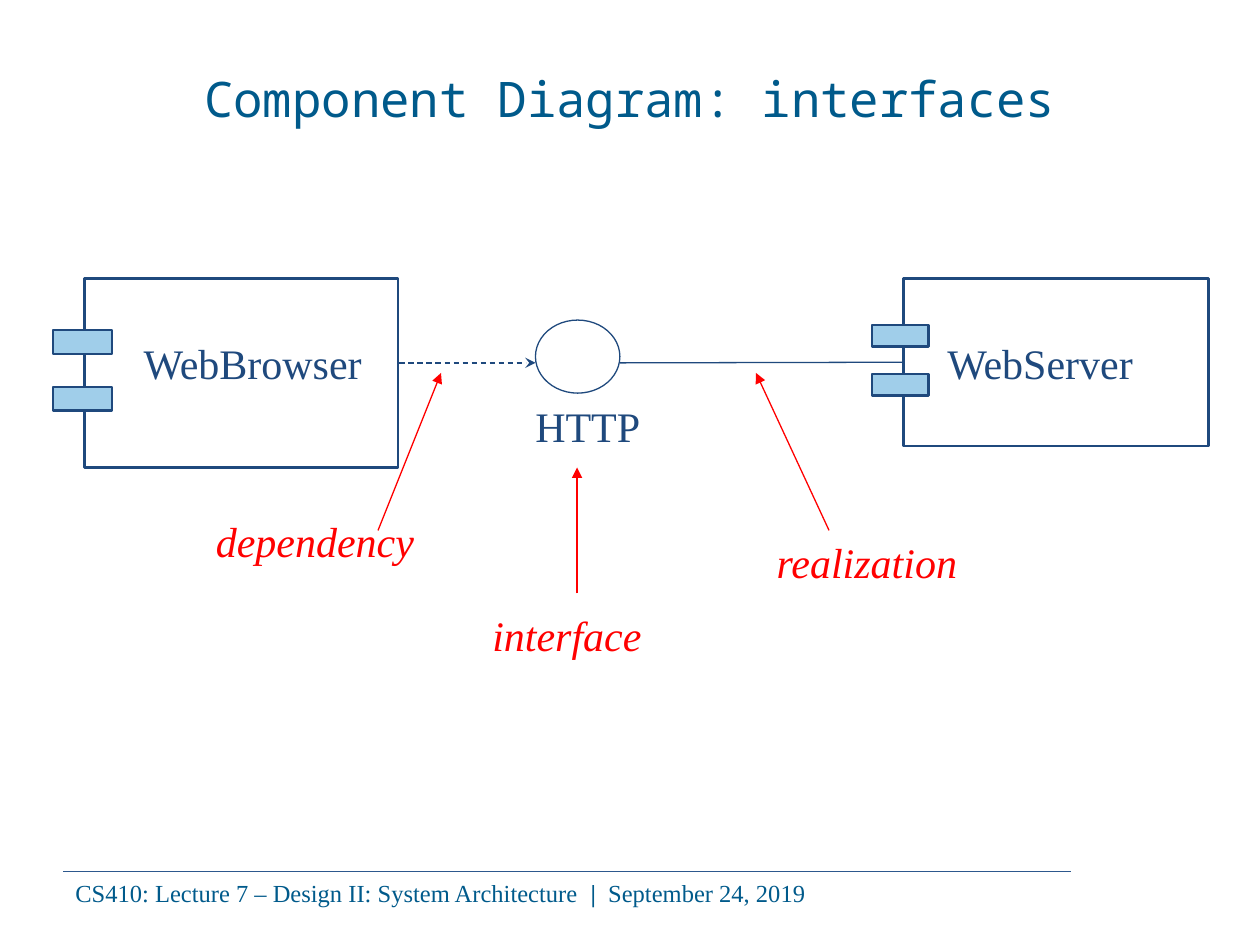
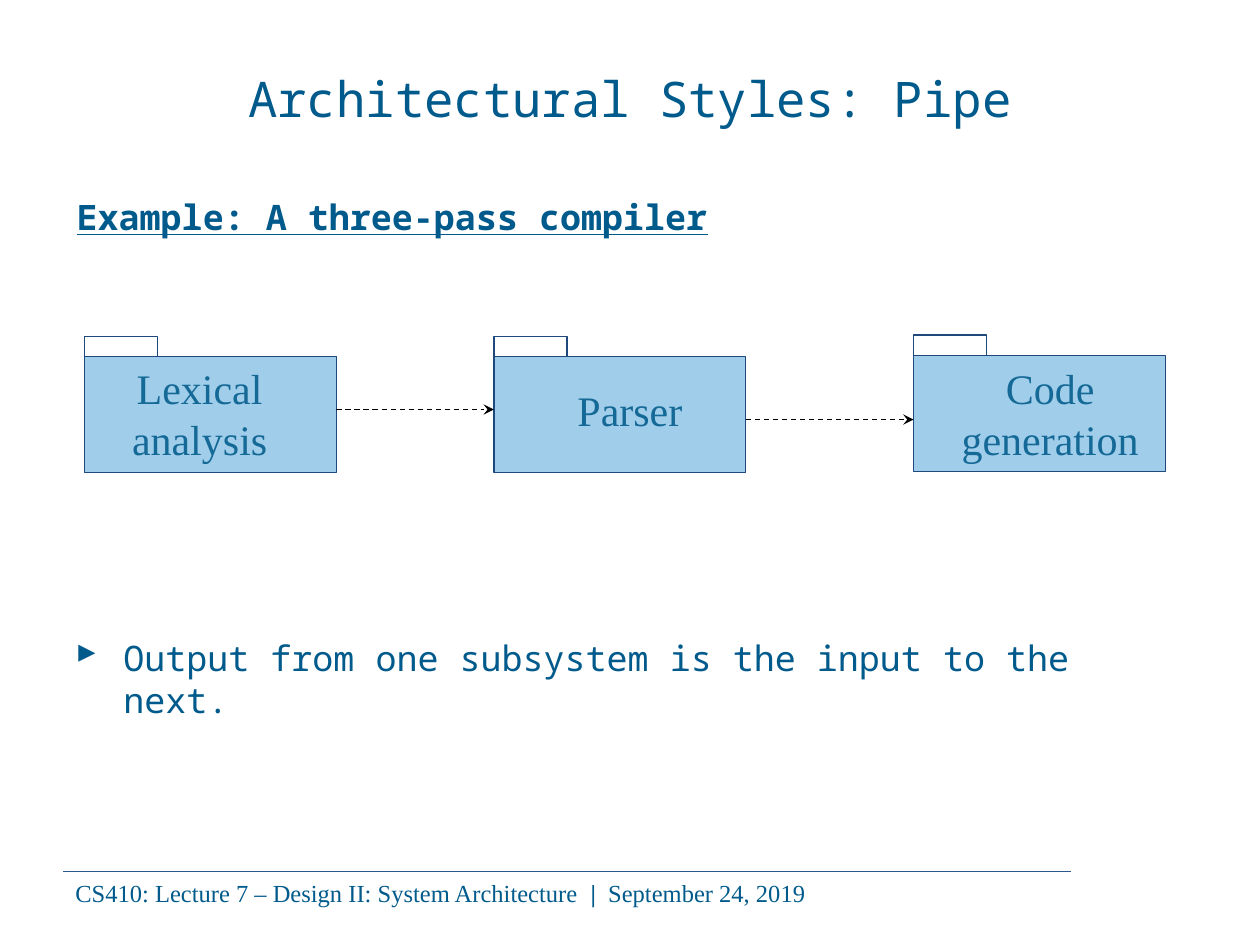
"""Build two lecture slides on component diagrams and the pipe architectural style."""
from dataclasses import dataclass

from lxml import etree
from pptx import Presentation
from pptx.dml.color import RGBColor
from pptx.enum.dml import MSO_LINE
from pptx.enum.shapes import MSO_CONNECTOR, MSO_SHAPE
from pptx.enum.text import MSO_ANCHOR, MSO_AUTO_SIZE, PP_ALIGN
from pptx.oxml.ns import qn
from pptx.shapes.autoshape import Shape
from pptx.shapes.connector import Connector
from pptx.slide import Slide
from pptx.text.text import TextFrame, _Paragraph
from pptx.util import Inches, Pt

RECTANGLE, ELLIPSE = MSO_SHAPE.RECTANGLE, MSO_SHAPE.OVAL
STRAIGHT = MSO_CONNECTOR.STRAIGHT
DASH = MSO_LINE.DASH
LEFT, CENTER = PP_ALIGN.LEFT, PP_ALIGN.CENTER
MIDDLE = MSO_ANCHOR.MIDDLE
FIXED, GROW = MSO_AUTO_SIZE.NONE, MSO_AUTO_SIZE.SHAPE_TO_FIT_TEXT
LEFT_SIDE = 1
TITLE_ONLY = 5


@dataclass(frozen=True)
class Theme:
    heading: str = "005A8B"
    outline: str = "1F497D"
    accent: str = "A0CEEA"
    package_text: str = "156997"
    note: str = "FF0000"
    flow: str = "000000"
    rule: str = "2D588D"
    mono: str = "Noto Sans Mono"
    serif: str = "Times New Roman"
    title_size: int = 28
    label_size: int = 24
    body_size: int = 20
    footer_size: int = 14
    thin: float = 0.75
    thick: float = 1.5


THEME = Theme()
TITLE_FONT = {"name": THEME.mono, "size": Pt(THEME.title_size)}
BODY_FONT = {"name": THEME.mono, "size": Pt(THEME.body_size)}
EXAMPLE_FONT = BODY_FONT | {"bold": True, "underline": True}
LABEL_FONT = {"name": THEME.serif, "size": Pt(THEME.label_size)}
NOTE_FONT = LABEL_FONT | {"italic": True}
FOOTER_FONT = {"name": THEME.serif, "size": Pt(THEME.footer_size)}


@dataclass(frozen=True)
class Box:
    left: float
    top: float
    width: float
    height: float

    def lengths(self) -> list[Inches]:
        return [Inches(v) for v in (self.left, self.top, self.width, self.height)]


@dataclass(frozen=True)
class Component:
    name: str
    body: Box
    label: Box
    lug: Box
    lug_step: float


@dataclass(frozen=True)
class Package:
    name: str
    left: float
    top: float
    label: Box


@dataclass(frozen=True)
class Note:
    word: str
    label: Box
    start: tuple[float, float]
    tip: tuple[float, float]


COMPONENTS = (
    Component("WebBrowser", Box(0.67, 2.21, 2.49, 1.5), Box(0.92, 2.63, 2.17, 0.5),
              Box(0.42, 2.62, 0.47, 0.19), 0.45),
    Component("WebServer", Box(7.17, 2.21, 2.42, 1.33), Box(7.17, 2.63, 2.17, 0.5),
              Box(6.92, 2.58, 0.45, 0.17), 0.39),
)
NOTES = (
    Note("dependency", Box(1.5, 4.04, 2, 0.5), (3, 4.21), (3.5, 2.96)),
    Note("interface", Box(3.25, 4.79, 2.5, 0.5), (4.58, 4.71), (4.58, 3.71)),
    Note("realization", Box(5.92, 4.21, 1.92, 0.5), (6.58, 4.21), (6, 2.96)),
)
PACKAGES = (
    Package("Lexical analysis", 0.67, 2.67, Box(0.5, 2.83, 2.17, 0.9)),
    Package("Parser", 3.92, 2.67, Box(3.75, 3, 2.5, 0.5)),
    Package("Code generation", 7.25, 2.66, Box(7.17, 2.83, 2.33, 0.9)),
)
PACKAGE_WIDTH = 2
FLOW_HEIGHTS = (3.25, 3.33)


def add_run(paragraph: _Paragraph, text: str, font: dict, color: str) -> None:
    run = paragraph.add_run()
    run.text = text
    for attribute, value in font.items():
        setattr(run.font, attribute, value)
    run.font.color.rgb = RGBColor.from_string(color)


def add_text(slide: Slide, box: Box, text: str, font: dict, color: str,
             align: PP_ALIGN = CENTER, fit: MSO_AUTO_SIZE = GROW) -> TextFrame:
    frame = slide.shapes.add_textbox(*box.lengths()).text_frame
    frame.word_wrap = True
    frame.auto_size = fit
    frame.paragraphs[0].alignment = align
    add_run(frame.paragraphs[0], text, font, color)
    return frame


def add_outline(slide: Slide, box: Box, weight: float, fill: str | None = None,
                kind: MSO_SHAPE = RECTANGLE) -> Shape:
    shape = slide.shapes.add_shape(kind, *box.lengths())
    shape.shadow.inherit = False
    if fill:
        shape.fill.solid()
        shape.fill.fore_color.rgb = RGBColor.from_string(fill)
    else:
        shape.fill.background()
    shape.line.color.rgb = RGBColor.from_string(THEME.outline)
    shape.line.width = Pt(weight)
    return shape


def add_line(slide: Slide, start: tuple[float, float], end: tuple[float, float],
             color: str, weight: float = THEME.thin, head: str | None = None,
             dashed: bool = False) -> Connector:
    line = slide.shapes.add_connector(STRAIGHT, *(Inches(v) for v in start + end))
    line.line.color.rgb = RGBColor.from_string(color)
    line.line.width = Pt(weight)
    if dashed:
        line.line.dash_style = DASH
    properties = line.element.spPr
    if head:
        etree.SubElement(properties.find(qn("a:ln")), qn("a:tailEnd"), type=head)
    etree.SubElement(properties, qn("a:effectLst"))
    return line


def add_bullet(paragraph: _Paragraph, mark: str, color: str) -> None:
    properties = paragraph._p.get_or_add_pPr()
    properties.set("marL", str(Inches(0.38)))
    properties.set("indent", str(-Inches(0.38)))
    bullet_color = etree.SubElement(properties, qn("a:buClr"))
    etree.SubElement(bullet_color, qn("a:srgbClr"), val=color)
    etree.SubElement(properties, qn("a:buChar"), char=mark)


def start_slide(deck: Presentation, heading: str) -> Slide:
    slide = deck.slides.add_slide(deck.slide_layouts[TITLE_ONLY])
    add_line(slide, (0.5, 6.92), (8.5, 6.92), THEME.rule, 0.5)
    footer = add_text(slide, Box(0.5, 6.92, 8.17, 0.34),
                      "CS410: Lecture 7 – Design II: System Architecture  ",
                      FOOTER_FONT, THEME.heading, LEFT)
    for text, bold in (("|  ", True), ("September 24, 2019", False)):
        add_run(footer.paragraphs[0], text, FOOTER_FONT | {"bold": bold}, THEME.heading)
    title = slide.shapes.title
    title.left, title.top, title.width, title.height = Box(0.5, 0.3, 9, 0.95).lengths()
    frame = title.text_frame
    frame.auto_size = FIXED
    frame.vertical_anchor = MIDDLE
    frame.paragraphs[0].alignment = CENTER
    add_run(frame.paragraphs[0], heading, TITLE_FONT, THEME.heading)
    return slide


def add_component(slide: Slide, component: Component) -> Shape:
    body = add_outline(slide, component.body, THEME.thick)
    lug = component.lug
    for row in range(2):
        top = lug.top + row * component.lug_step
        add_outline(slide, Box(lug.left, top, lug.width, lug.height), THEME.thick, THEME.accent)
    add_text(slide, component.label, component.name, LABEL_FONT, THEME.outline)
    return body


def add_package(slide: Slide, package: Package) -> None:
    add_outline(slide, Box(package.left, package.top, 0.58, 0.25), THEME.thin)
    add_outline(slide, Box(package.left, package.top + 0.16, PACKAGE_WIDTH, 0.92),
                THEME.thin, THEME.accent)
    add_text(slide, package.label, package.name, LABEL_FONT, THEME.package_text)


def build_interfaces(deck: Presentation) -> None:
    slide = start_slide(deck, "Component Diagram: interfaces")
    _, server = [add_component(slide, component) for component in COMPONENTS]
    add_outline(slide, Box(4.25, 2.54, 0.67, 0.58), THEME.thin, kind=ELLIPSE)
    add_text(slide, Box(4, 3.13, 1.33, 0.5), "HTTP", LABEL_FONT, THEME.outline)
    add_line(slide, (3.17, 2.88), (4.25, 2.88), THEME.outline, head="stealth", dashed=True)
    realization = add_line(slide, (4.92, 2.88), (7.17, 2.88), THEME.outline)
    realization.end_connect(server, LEFT_SIDE)
    for note in NOTES:
        add_text(slide, note.label, note.word, NOTE_FONT, THEME.note)
        add_line(slide, note.start, note.tip, THEME.note, head="triangle")


def build_pipe(deck: Presentation) -> None:
    slide = start_slide(deck, "Architectural Styles: Pipe")
    summary = add_text(slide, Box(0.5, 5, 8.58, 1.71),
                       "Output from one subsystem is the input to the next.",
                       BODY_FONT, THEME.heading, LEFT, FIXED)
    example = add_text(slide, Box(0.51, 1.5, 8.58, 0.5), "Example: A three-pass compiler",
                       EXAMPLE_FONT, THEME.heading, LEFT, FIXED)
    for frame in (summary, example):
        frame.paragraphs[0].space_before = Pt(5)
    add_bullet(summary.paragraphs[0], "▸", THEME.heading)
    for package in PACKAGES:
        add_package(slide, package)
    for source, target, height in zip(PACKAGES, PACKAGES[1:], FLOW_HEIGHTS):
        add_line(slide, (source.left + PACKAGE_WIDTH, height), (target.left, height),
                 THEME.flow, head="stealth", dashed=True)


def main() -> None:
    deck = Presentation()
    deck.slide_width, deck.slide_height = Inches(10), Inches(7.5)
    build_interfaces(deck)
    build_pipe(deck)
    deck.save("out.pptx")


if __name__ == "__main__":
    main()
